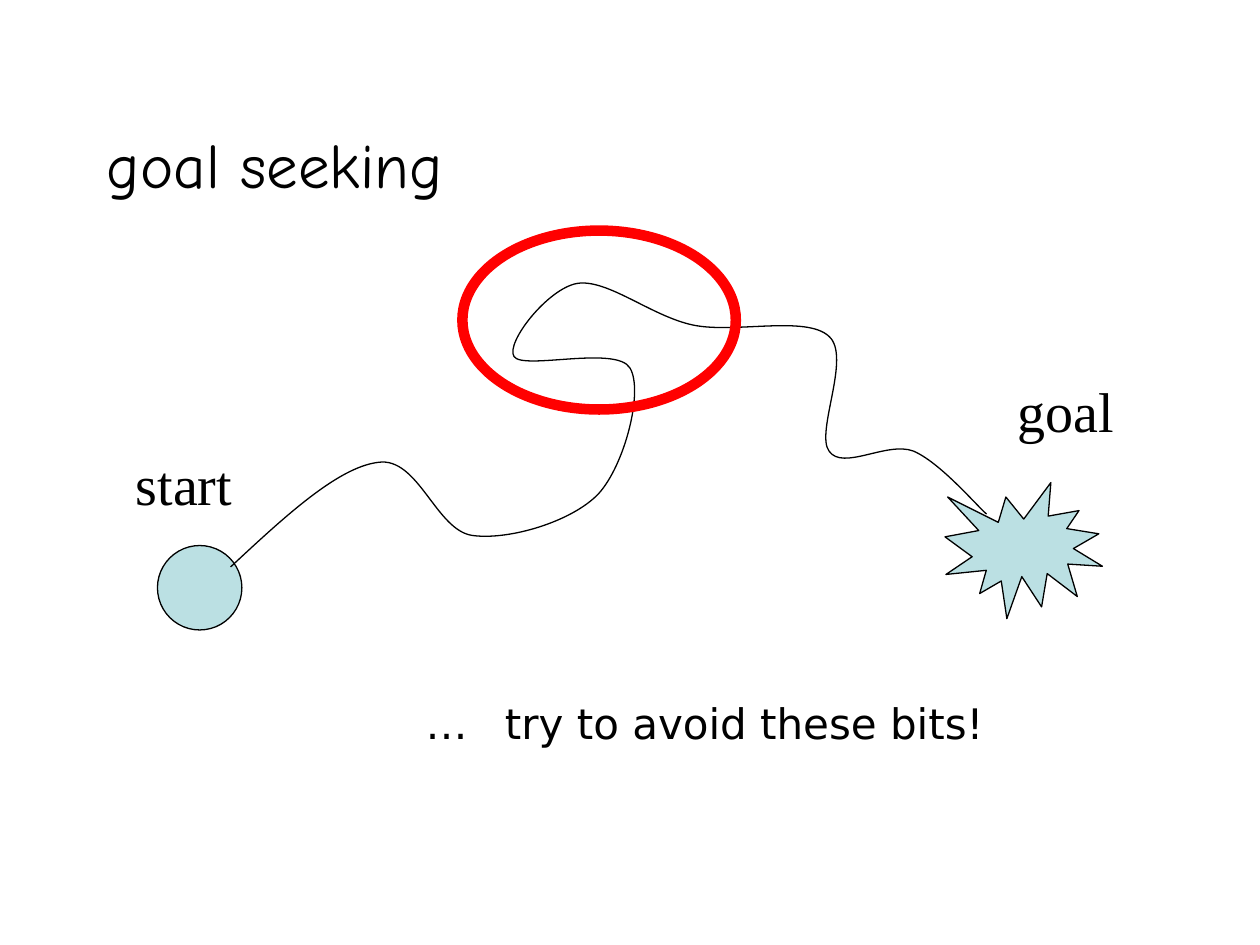
"""Build the goal seeking slide: a wandering route from start to goal."""
import dataclasses
import typing

import lxml.etree
import pptx
import pptx.dml.color
import pptx.enum.shapes
import pptx.enum.text
import pptx.oxml.ns
import pptx.util

Inches = pptx.util.Inches
Shapes = pptx.enum.shapes.MSO_SHAPE
Anchor = pptx.enum.text.MSO_ANCHOR
qn = pptx.oxml.ns.qn

COLOURS = {"ink": "000000", "landmark": "BBE0E3", "warning": "FF0000"}


@dataclasses.dataclass
class Label:
    text: str
    box: tuple[float, float, float, float]
    size: int
    font: str
    anchor: Anchor = Anchor.TOP
    tab: typing.Optional[float] = None


@dataclasses.dataclass
class Marker:
    preset: Shapes
    box: tuple[float, float, float, float]
    fill: typing.Optional[str] = "landmark"
    line: str = "ink"
    width: float = 0.75


LABELS = [
    Label("goal seeking", (0.75, 0.67, 7.5, 1.25), 36, "Comic Neue", Anchor.MIDDLE),
    Label("…\ttry to avoid these bits!", (3.28, 5.49, 4.9, 0.51), 24, "DejaVu Sans", tab=0.63),
    Label("goal", (7.98, 2.94, 1.1, 0.63), 32, "Times New Roman"),
    Label("start", (0.98, 3.52, 1.1, 0.63), 32, "Times New Roman"),
]
GOAL = Marker(Shapes.EXPLOSION1, (7.5, 3.83, 1.25, 1.08))
START = Marker(Shapes.FLOWCHART_CONNECTOR, (1.25, 4.33, 0.67, 0.67))
DETOUR = Marker(Shapes.OVAL, (3.67, 1.83, 2.17, 1.42), None, "warning", 6)

ROUTE_START = (1.83, 4.5)
ROUTE_CURVES = [
    ((2.26, 4.1), (2.68, 3.71), (3, 3.67)),
    ((3.32, 3.62), (3.46, 4.21), (3.75, 4.25)),
    ((4.04, 4.29), (4.54, 4.14), (4.75, 3.92)),
    ((4.96, 3.69), (5.11, 3.1), (5, 2.92)),
    ((4.89, 2.74), (4.15, 2.94), (4.08, 2.83)),
    ((4.01, 2.72), (4.35, 2.29), (4.58, 2.25)),
    ((4.82, 2.21), (5.17, 2.51), (5.5, 2.58)),
    ((5.83, 2.65), (6.4, 2.5), (6.58, 2.67)),
    ((6.76, 2.83), (6.47, 3.43), (6.58, 3.58)),
    ((6.69, 3.74), (7.04, 3.5), (7.25, 3.58)),
    ((7.46, 3.67), (7.74, 4), (7.83, 4.08)),
]


def rgb(name: str) -> pptx.dml.color.RGBColor:
    return pptx.dml.color.RGBColor.from_string(COLOURS[name])


def paint(shape, fill: typing.Optional[str], line: str, width: float) -> None:
    shape.shadow.inherit = False
    if fill:
        shape.fill.solid()
        shape.fill.fore_color.rgb = rgb(fill)
    else:
        shape.fill.background()
    shape.line.color.rgb = rgb(line)
    shape.line.width = pptx.util.Pt(width)


def draw_label(slide, label: Label) -> None:
    frame = slide.shapes.add_textbox(*map(Inches, label.box)).text_frame
    frame.word_wrap = True
    frame.vertical_anchor = label.anchor
    paragraph = frame.paragraphs[0]
    paragraph.text = label.text
    paragraph.font.size = pptx.util.Pt(label.size)
    paragraph.font.name = label.font
    paragraph.font.color.rgb = rgb("ink")
    if label.tab is not None:
        properties = paragraph._p.get_or_add_pPr()
        stops = lxml.etree.Element(qn("a:tabLst"))
        lxml.etree.SubElement(stops, qn("a:tab"), pos=str(Inches(label.tab)), algn="l")
        properties.insert(0, stops)


def draw_marker(slide, marker: Marker) -> None:
    shape = slide.shapes.add_shape(marker.preset, *map(Inches, marker.box))
    paint(shape, marker.fill, marker.line, marker.width)


def draw_route(slide, start: tuple, curves: list) -> None:
    builder = slide.shapes.build_freeform(*map(Inches, start), scale=1.0)
    points = [tuple(map(Inches, point)) for curve in curves for point in curve]
    builder.add_line_segments(points, close=False)
    route = builder.convert_to_shape()
    paint(route, None, "ink", 0.75)
    segments = list(route._element.iter(qn("a:lnTo")))
    for first in range(0, len(segments), 3):
        bezier = lxml.etree.Element(qn("a:cubicBezTo"))
        segments[first].addprevious(bezier)
        for segment in segments[first:first + 3]:
            bezier.append(segment[0])
            segment.getparent().remove(segment)


def main() -> None:
    deck = pptx.Presentation()
    deck.slide_width, deck.slide_height = Inches(10), Inches(7.5)
    slide = deck.slides.add_slide(deck.slide_layouts[6])
    for label in LABELS:
        draw_label(slide, label)
    for marker in (GOAL, START):
        draw_marker(slide, marker)
    draw_route(slide, ROUTE_START, ROUTE_CURVES)
    draw_marker(slide, DETOUR)
    deck.save("out.pptx")


if __name__ == "__main__":
    main()
